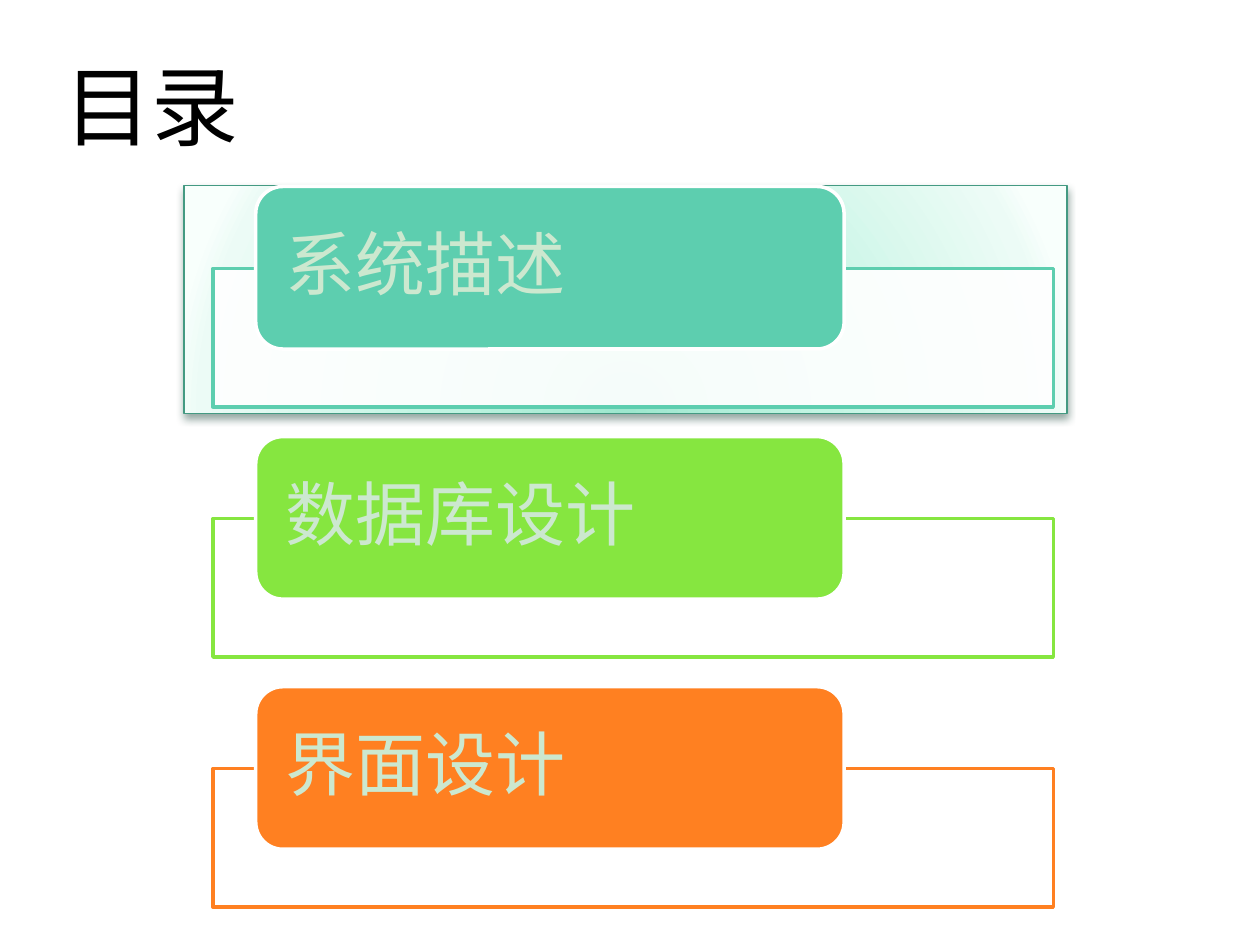
from dataclasses import dataclass

from lxml.etree import SubElement
from pptx import Presentation
from pptx.dml.color import RGBColor
from pptx.enum.shapes import MSO_SHAPE
from pptx.enum.text import MSO_ANCHOR, MSO_AUTO_SIZE, PP_ALIGN
from pptx.oxml import parse_xml
from pptx.oxml.ns import nsdecls, qn
from pptx.util import Inches, Pt


@dataclass(frozen=True)
class Theme:
    paper: str = "FFFFFF"
    title: str = "000000"
    label: str = "CCE8CF"
    panel_line: str = "449A82"
    panel_shadow: str = "20493E"
    panel_stops: tuple = ((0, "9DE7CE"), (43, "C3F5E3"), (93, "ECFBF6"), (100, "F8FFFC"))
    title_font: str = "Noto Sans CJK SC"
    label_font: str = "Karla"
    title_size: int = 50
    label_size: int = 40


@dataclass(frozen=True)
class Topic:
    text: str
    color: str


THEME = Theme()
TOPICS = [
    Topic("系统描述", "5DCEAF"),
    Topic("数据库设计", "86E640"),
    Topic("界面设计", "FF8021"),
]
FIRST_TOP, PITCH = 1.48, 1.985


def add_box(shapes, kind, box: tuple, fill: str, line: str, width: float):
    sp = shapes.add_shape(kind, *map(Inches, box))
    sp.shadow.inherit = False
    sp.fill.solid()
    sp.fill.fore_color.rgb = RGBColor.from_string(fill)
    sp.line.color.rgb = RGBColor.from_string(line)
    sp.line.width = Pt(width)
    return sp


def write_text(sp, text: str, frame: dict, font: dict, color: str) -> None:
    tf = sp.text_frame
    for name, value in frame.items():
        setattr(tf, name, value)
    p = tf.paragraphs[0]
    p.alignment = PP_ALIGN.LEFT
    p.line_spacing = 0.9
    r = p.add_run()
    r.text = text
    for name, value in font.items():
        setattr(r.font, name, value)
    r.font.color.rgb = RGBColor.from_string(color)
    SubElement(r.font._element, qn("a:ea"), typeface=THEME.title_font)


def add_panel(shapes) -> None:
    """Gradient panel with a soft shadow behind the first topic."""
    sp = add_box(shapes, MSO_SHAPE.RECTANGLE, (1.46, 1.47, 7.01, 1.81),
                 THEME.paper, THEME.panel_line, 0.75)
    stops = "".join(f'<a:gs pos="{pos * 1000}"><a:srgbClr val="{color}"/></a:gs>'
                    for pos, color in THEME.panel_stops)
    gradient = parse_xml(
        f'<a:gradFill {nsdecls("a")} rotWithShape="1"><a:gsLst>{stops}</a:gsLst>'
        '<a:path path="circle"><a:fillToRect l="50000" t="130000" r="50000" b="-30000"/>'
        '</a:path></a:gradFill>')
    sp_pr = sp._element.spPr
    sp_pr.replace(sp_pr.find(qn("a:solidFill")), gradient)
    sp_pr.find(qn("a:effectLst")).append(parse_xml(
        f'<a:outerShdw {nsdecls("a")} blurRad="{Pt(4.5)}" dist="{Pt(3)}" dir="5400000" '
        f'rotWithShape="0"><a:srgbClr val="{THEME.panel_shadow}"><a:alpha val="48000"/>'
        '</a:srgbClr></a:outerShdw>'))


def add_topic(shapes, topic: Topic, top: float) -> None:
    # Outlined frame, slightly transparent
    frame = add_box(shapes, MSO_SHAPE.RECTANGLE, (1.69, top + 0.65, 6.67, 1.1),
                    THEME.paper, topic.color, 2)
    color = frame._element.spPr.find(qn("a:solidFill"))[0]
    SubElement(color, qn("a:alpha"), val="90000")
    # Rounded tab and its label
    add_box(shapes, MSO_SHAPE.ROUNDED_RECTANGLE, (2.03, top, 4.67, 1.29),
            topic.color, THEME.paper, 2)
    label = shapes.add_textbox(*map(Inches, (2.09, top + 0.06, 4.54, 1.17)))
    write_text(label, topic.text,
               dict(word_wrap=True, vertical_anchor=MSO_ANCHOR.MIDDLE,
                    margin_left=Inches(0.18), margin_right=Inches(0.18),
                    margin_top=0, margin_bottom=0),
               dict(name=THEME.label_font, size=Pt(THEME.label_size)), THEME.label)


def main() -> None:
    prs = Presentation()
    prs.slide_width, prs.slide_height = Inches(10), Inches(7.5)
    s = prs.slides.add_slide(prs.slide_layouts[5])
    s.background.fill.solid()
    s.background.fill.fore_color.rgb = RGBColor.from_string(THEME.paper)

    # Title
    title = s.shapes.title
    place = dict(left=0.51, top=0, width=9.37, height=1.25)
    for name, value in place.items():
        setattr(title, name, Inches(value))
    write_text(title, "目录",
               dict(word_wrap=True, auto_size=MSO_AUTO_SIZE.NONE,
                    vertical_anchor=MSO_ANCHOR.BOTTOM, margin_left=0, margin_right=0,
                    margin_top=Inches(0.05), margin_bottom=0),
               dict(name=THEME.title_font, size=Pt(THEME.title_size)), THEME.title)
    title.text_frame.paragraphs[0].line_spacing = 1.0

    # Topic list
    add_panel(s.shapes)
    group = s.shapes.add_group_shape()
    for i, topic in enumerate(TOPICS):
        add_topic(group.shapes, topic, FIRST_TOP + i * PITCH)

    prs.save("out.pptx")


if __name__ == "__main__":
    main()
